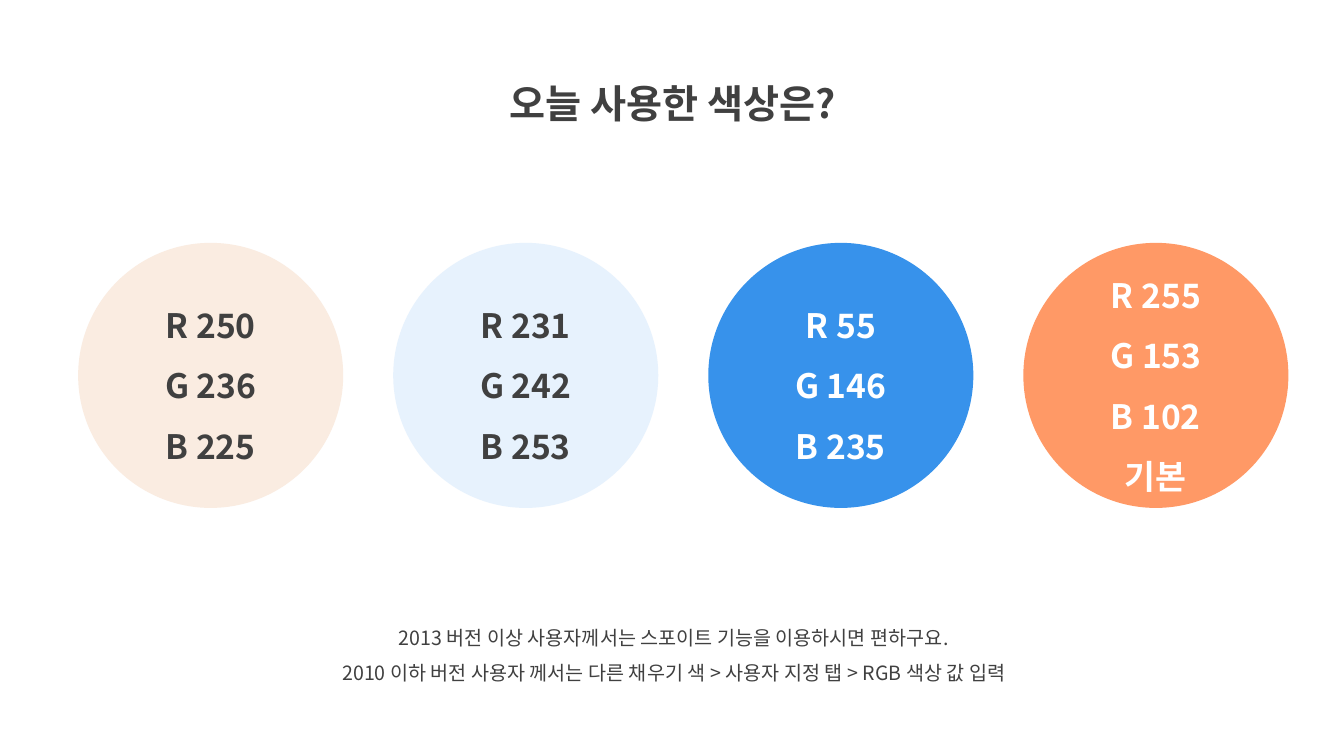
"""Build a slide listing the RGB values of the colours used today."""
import pptx
import pptx.dml.color
import pptx.enum.shapes
import pptx.enum.text
import pptx.oxml.ns
import pptx.util
from lxml import etree

Cm = pptx.util.Cm
FONT = "Noto Sans CJK KR"
COLOURS = {
    "text": "404040",
    "white": "FFFFFF",
    "peach": "FAECE1",
    "pale blue": "E7F2FD",
    "blue": "3792EB",
    "orange": "FF9966",
}


def colour(name):
    return pptx.dml.color.RGBColor.from_string(COLOURS[name])


def write_lines(box, lines, size, ink, bold):
    frame = box.text_frame
    frame.word_wrap = True
    for index, line in enumerate(lines):
        para = frame.paragraphs[0] if index == 0 else frame.add_paragraph()
        para.text = line
        para.alignment = pptx.enum.text.PP_ALIGN.CENTER
        para.line_spacing = 1.5
        para.font.size = pptx.util.Pt(size)
        para.font.bold = bold
        para.font.color.rgb = colour(ink)
        para.font.name = FONT
        properties = para._p.pPr.find(pptx.oxml.ns.qn("a:defRPr"))
        etree.SubElement(properties, pptx.oxml.ns.qn("a:ea"), typeface=FONT)


deck = pptx.Presentation()
deck.slide_width = Cm(33.87)
deck.slide_height = Cm(19.05)
page = deck.slides.add_slide(deck.slide_layouts[6])

title = page.shapes.add_textbox(Cm(11.07), Cm(1.27), Cm(11.76), Cm(1.83))
write_lines(title, ["오늘 사용한 색상은?"], 28, "text", True)

hints = page.shapes.add_textbox(Cm(6.83), Cm(15.34), Cm(20.3), Cm(2.06))
write_lines(hints, [
    "2013 버전 이상 사용자께서는 스포이트 기능을 이용하시면 편하구요.",
    "2010 이하 버전 사용자 께서는 다른 채우기 색 > 사용자 지정 탭 > RGB 색상 값 입력",
], 14, "text", False)

swatches = [
    ("peach", "text", ["R 250", "G 236", "B 225"]),
    ("pale blue", "text", ["R 231", "G 242", "B 253"]),
    ("blue", "white", ["R 55", "G 146", "B 235"]),
    ("orange", "white", ["R 255", "G 153", "B 102", "기본"]),
]
for column, (fill, ink, values) in enumerate(swatches):
    circle = page.shapes.add_shape(
        pptx.enum.shapes.MSO_SHAPE.OVAL,
        Cm(1.97 + 7.94 * column), Cm(6.12), Cm(6.68), Cm(6.68))
    circle.shadow.inherit = False
    circle.fill.solid()
    circle.fill.fore_color.rgb = colour(fill)
    circle.line.fill.background()
    circle.text_frame.vertical_anchor = pptx.enum.text.MSO_ANCHOR.MIDDLE
    write_lines(circle, values, 24, ink, True)

deck.save("out.pptx")
